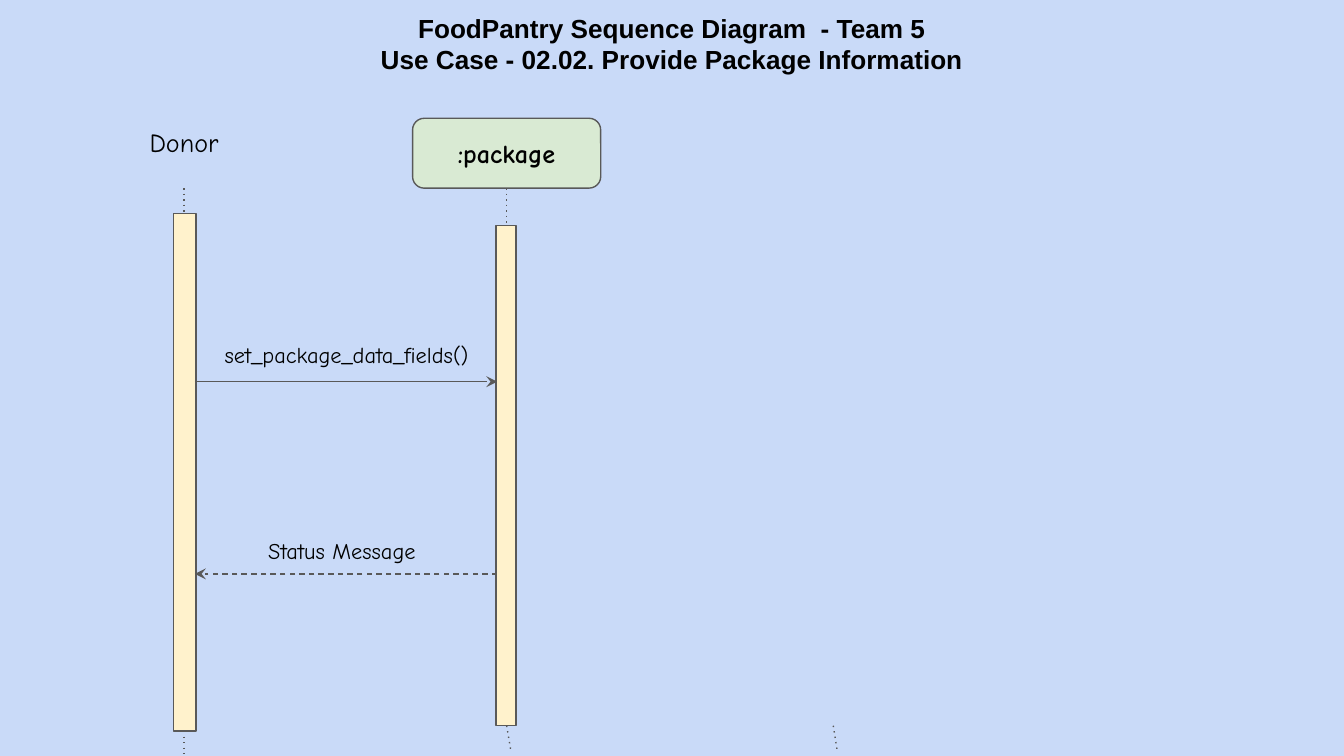
from lxml import etree
from pptx import Presentation
from pptx.dml.color import RGBColor
from pptx.enum import shapes, text
from pptx.oxml.ns import qn
from pptx.util import Inches, Pt

SKY = RGBColor(0xC9, 0xDA, 0xF8)
GREEN = RGBColor(0xD9, 0xEA, 0xD3)
CREAM = RGBColor(0xFF, 0xF2, 0xCC)
GRAY = RGBColor(0x59, 0x59, 0x59)
BLACK = RGBColor(0, 0, 0)
TOP, MID = text.MSO_ANCHOR.TOP, text.MSO_ANCHOR.MIDDLE

deck = Presentation()
deck.slide_width = Inches(10)
deck.slide_height = deck.slide_width * 9 // 16
slide = deck.slides.add_slide(deck.slide_layouts[6])
slide.background.fill.solid()
slide.background.fill.fore_color.rgb = SKY


def write(shape, lines, size, anchor=MID, face="Comic Neue", bold=False):
    frame = shape.text_frame
    frame.word_wrap = True
    frame.vertical_anchor = anchor
    frame.margin_left = frame.margin_right = Inches(0.1)
    frame.margin_top = frame.margin_bottom = Inches(0.1)
    for i, line in enumerate(lines):
        para = frame.paragraphs[0] if i == 0 else frame.add_paragraph()
        para.text = line
        para.alignment = text.PP_ALIGN.CENTER
        font = para.font
        font.name, font.size, font.bold = face, Pt(size), bold
        font.color.rgb = BLACK


def box(kind, place, fill):
    shape = slide.shapes.add_shape(kind, *map(Inches, place))
    shape.shadow.inherit = False
    shape.fill.solid()
    shape.fill.fore_color.rgb = fill
    shape.line.color.rgb = GRAY
    shape.line.width = Pt(0.75)
    return shape


# Title
title = slide.shapes.add_textbox(*map(Inches, (0, -0.01, 10, 0.61)))
write(title, ["FoodPantry Sequence Diagram  - Team 5",
              "Use Case - 02.02. Provide Package Information"],
      14, TOP, "Arial", True)

# Lifeline head and the donor's activation bar
head = box(shapes.MSO_SHAPE.ROUNDED_RECTANGLE, (3.07, 0.88, 1.4, 0.52), GREEN)
write(head, [":package"], 14, bold=True)
box(shapes.MSO_SHAPE.RECTANGLE, (1.29, 1.59, 0.17, 3.85), CREAM)

# Messages and lifelines: start, end, dash, arrow
for x1, y1, x2, y2, dash, arrow in [
    (1.45, 2.84, 3.7, 2.84, "solid", True),
    (1.37, 5.44, 1.37, 5.62, "dot", False),
    (3.77, 5.4, 3.8, 5.58, "dot", False),
    (6.2, 5.4, 6.23, 5.59, "dot", False),
    (1.37, 1.4, 1.37, 1.59, "dot", False),
    (3.77, 1.4, 3.77, 1.68, "dot", False),
    (3.7, 4.27, 1.45, 4.27, "dash", True),
]:
    wire = slide.shapes.add_connector(
        shapes.MSO_CONNECTOR.STRAIGHT, *map(Inches, (x1, y1, x2, y2)))
    wire.line.color.rgb = GRAY
    wire.line.width = Pt(0.75)
    props = wire._element.spPr
    stroke = props.find(qn("a:ln"))
    etree.SubElement(stroke, qn("a:prstDash"), val=dash)
    if arrow:
        etree.SubElement(stroke, qn("a:tailEnd"),
                         type="stealth", w="med", len="med")
    etree.SubElement(props, qn("a:effectLst"))

# Labels
for label, place, size, anchor in [
    ("set_package_data_fields()", (1.43, 2.35, 2.3, 0.58), 12, MID),
    ("Donor", (0.75, 0.84, 1.24, 0.33), 14, TOP),
    ("Status Message", (1.43, 3.93, 2.23, 0.33), 12, MID),
]:
    write(slide.shapes.add_textbox(*map(Inches, place)), [label], size, anchor)

# The package's activation bar covers the message ends
box(shapes.MSO_SHAPE.RECTANGLE, (3.69, 1.68, 0.15, 3.72), CREAM)

deck.save("out.pptx")
